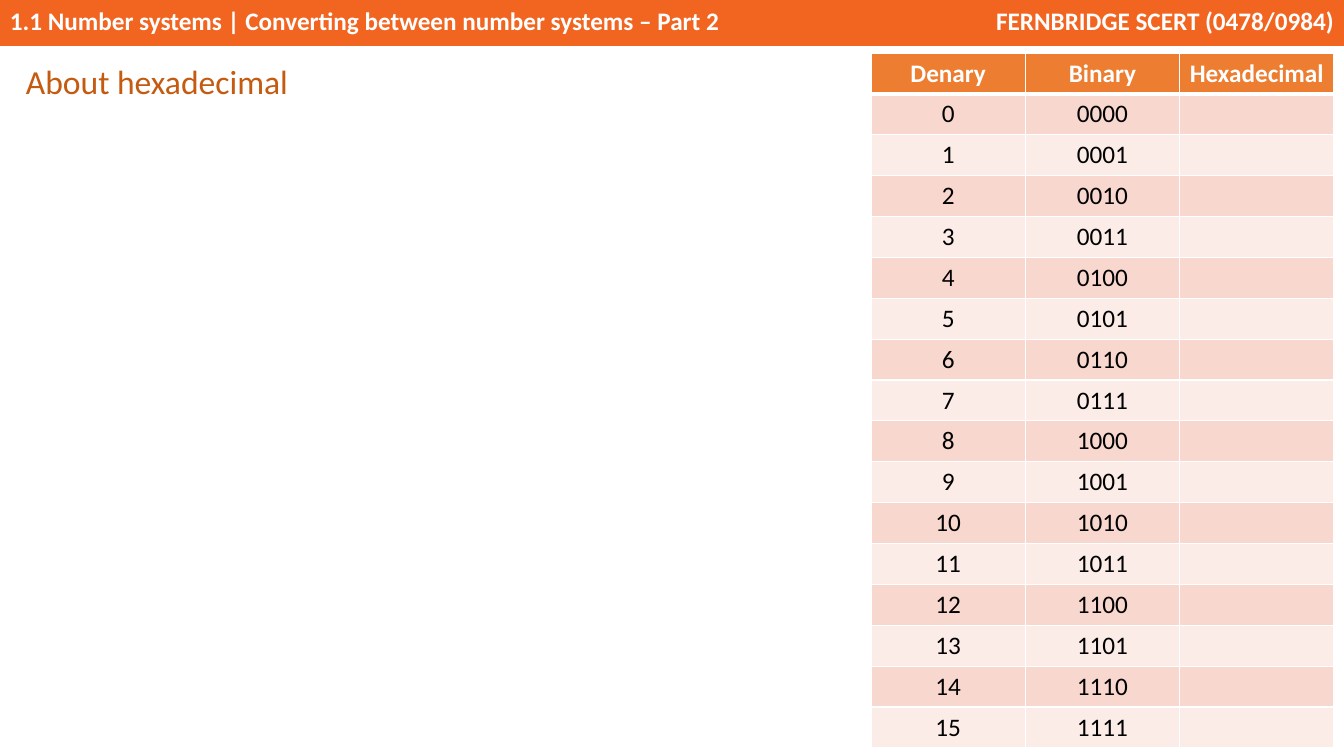
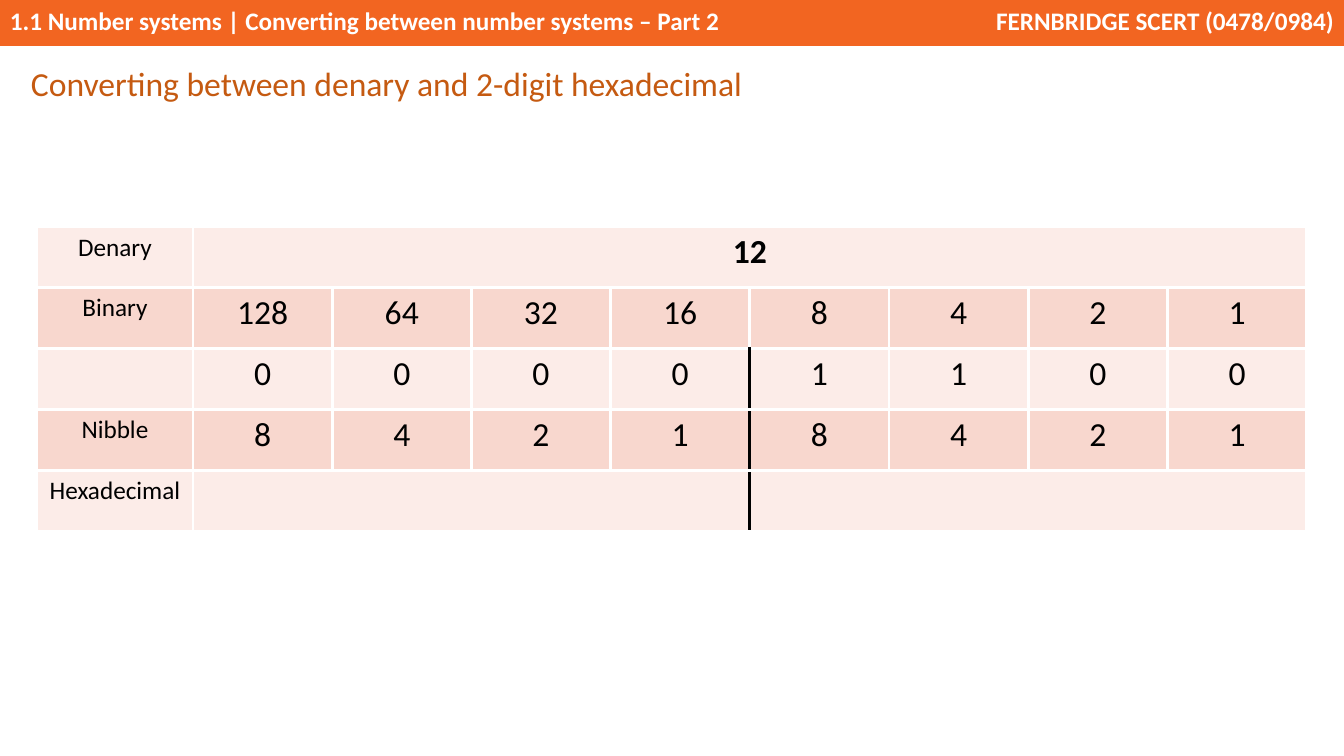
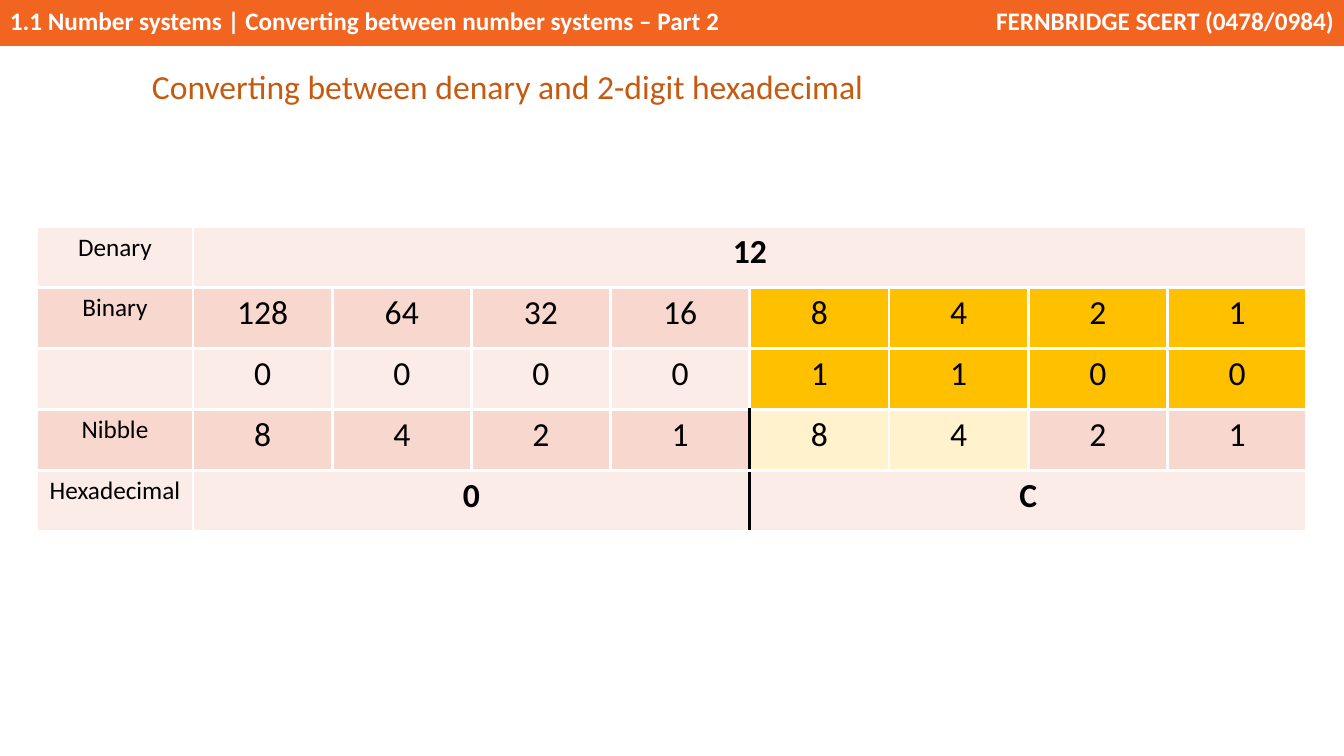
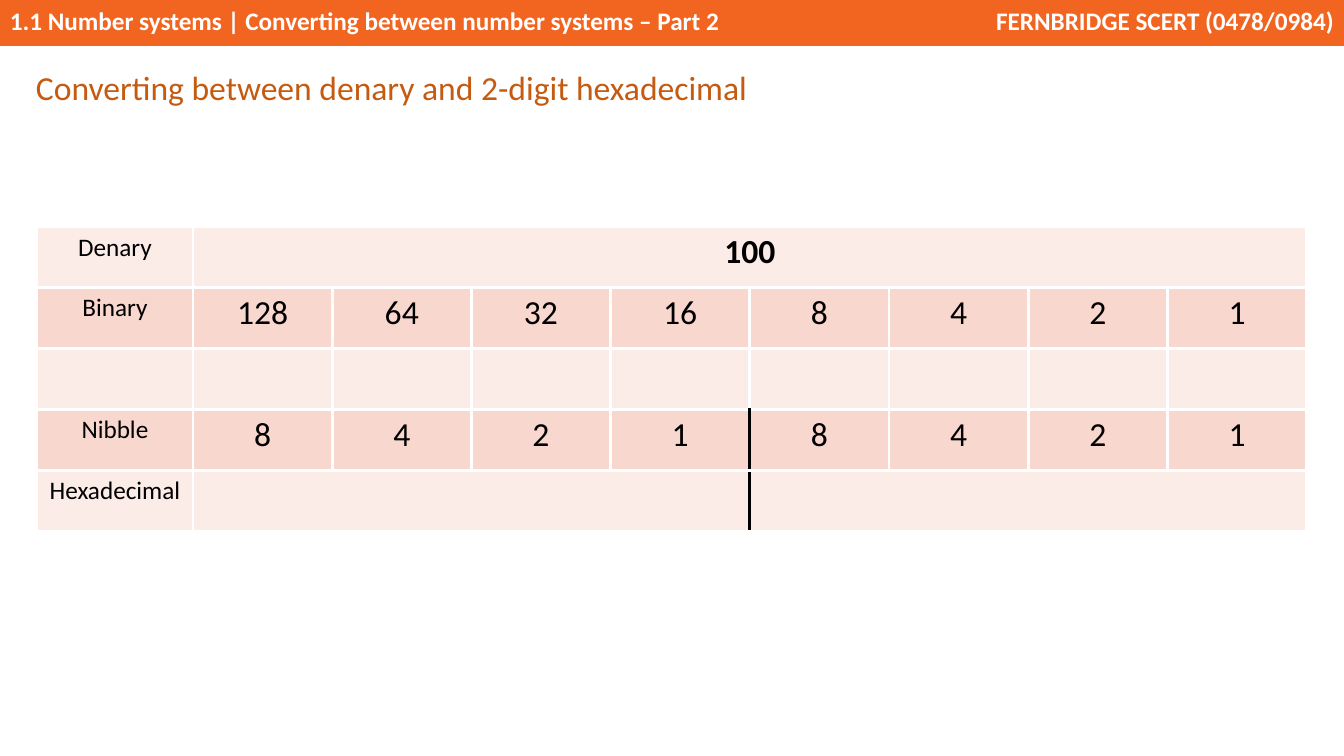
import dataclasses

import lxml.etree
import pptx
import pptx.dml.color
import pptx.enum.shapes
import pptx.enum.text
import pptx.oxml.ns
import pptx.util

ALIGN = pptx.enum.text.PP_ALIGN
ANCHOR = pptx.enum.text.MSO_ANCHOR
SCALE = 914400 / 100.8


@dataclasses.dataclass(frozen=True)
class Theme:
    font: str = "Calibri"
    band: str = "F26521"
    title: str = "C55A11"
    head: str = "ED7D31"
    dark: str = "F8D7CE"
    pale: str = "FCECE8"
    gold: str = "FFC000"
    cream: str = "FFF2CC"
    white: str = "FFFFFF"
    black: str = "000000"
    body: int = 18
    large: int = 24
    thin: float = 1
    mid: float = 2.25
    thick: float = 3


THEME = Theme()


def emu(px):
    return pptx.util.Emu(round(px * SCALE))


def rgb(code):
    return pptx.dml.color.RGBColor.from_string(code)


def write(frame, text, size=THEME.body, color=THEME.black, bold=False,
          align=ALIGN.LEFT, anchor=ANCHOR.TOP, line=None, after=None):
    frame.word_wrap = True
    frame.vertical_anchor = anchor
    para = frame.paragraphs[0]
    para.alignment = align
    if line:
        para.line_spacing = line
    if after:
        para.space_after = pptx.util.Pt(after)
    run = para.add_run()
    run.text = text
    font = run.font
    font.name = THEME.font
    font.size = pptx.util.Pt(size)
    font.bold = bold
    font.color.rgb = rgb(color)


def edge(cell, side, color, width):
    """Draw one border; side is L, R, T or B."""
    props = cell._tc.get_or_add_tcPr()
    qn = pptx.oxml.ns.qn
    line = lxml.etree.SubElement(props, qn("a:ln" + side), w=str(pptx.util.Pt(width)))
    fill = lxml.etree.SubElement(line, qn("a:solidFill"))
    lxml.etree.SubElement(fill, qn("a:srgbClr"), val=color)


def paint(cell, fill, edges):
    """Set the fill and the borders, given as {side: (colour, width)}."""
    for side in "LRTB":
        edge(cell, side, *edges[side])
    cell.fill.solid()
    cell.fill.fore_color.rgb = rgb(fill)
    cell.margin_left = cell.margin_right = emu(6)


def grid(slide, box, rows, widths):
    """Add a plain table of equal rows with the given column widths."""
    table = slide.shapes.add_table(rows, len(widths), *map(emu, box)).table
    table.first_row = table.horz_banding = False
    for col, width in zip(table.columns, widths):
        col.width = emu(width)
    for row in table.rows:
        row.height = emu(box[3] / rows)
    return table


def label(cell, text, **form):
    if text:
        write(cell.text_frame, text, align=ALIGN.CENTER, anchor=ANCHOR.MIDDLE, **form)


def band(slide):
    parts = [
        ((0, 0, 1113, 46), "1.1 Number systems | Converting between number systems – Part 2",
         ALIGN.LEFT),
        ((986, 0, 358, 46), "FERNBRIDGE SCERT (0478/0984)", ALIGN.RIGHT),
    ]
    for box, text, align in parts:
        shape = slide.shapes.add_shape(pptx.enum.shapes.MSO_SHAPE.RECTANGLE, *map(emu, box))
        shape.shadow.inherit = False
        shape.fill.solid()
        shape.fill.fore_color.rgb = rgb(THEME.band)
        shape.line.fill.background()
        write(shape.text_frame, text, color=THEME.white, bold=True, align=align)


def title(slide, box, text):
    frame = slide.shapes.add_textbox(*map(emu, box)).text_frame
    write(frame, text, size=THEME.large, color=THEME.title, line=1.07, after=8)


def codes(slide, box):
    """List 0 to 15 in denary and binary, with room for hexadecimal."""
    rows = [("Denary", "Binary", "Hexadecimal")]
    rows += [(str(n), format(n, "04b"), "") for n in range(16)]
    table = grid(slide, box, len(rows), [box[2] / 3] * 3)
    for r, row in enumerate(rows):
        edges = dict.fromkeys("LRTB", (THEME.white, THEME.thin))
        if r < 2:
            edges["T" if r else "B"] = (THEME.white, THEME.thick)
        fill = (THEME.dark if r % 2 else THEME.pale) if r else THEME.head
        for c, text in enumerate(row):
            cell = table.cell(r, c)
            paint(cell, fill, edges)
            label(cell, text, bold=not r, color=THEME.black if r else THEME.white)


def steps(slide, box, value, bits, answer, split, marks):
    """Convert value; split is the first row with a black line between nibbles."""
    digits = format(value, "08b") if bits else [""] * 8
    high, low = format(value, "02X") if answer else ("", "")
    blank = [""] * 3
    rows = [
        ["Denary", str(value)] + [""] * 7,
        ["Binary"] + [str(128 >> n) for n in range(8)],
        ["", *digits],
        ["Nibble"] + [str(8 >> n % 4) for n in range(8)],
        ["Hexadecimal", high, *blank, low, *blank],
    ]
    first = 156
    table = grid(slide, box, len(rows), [first] + [(box[2] - first) / 8] * 8)
    for r, start, end in [(0, 1, 8), (4, 1, 4), (4, 5, 8)]:
        table.cell(r, start).merge(table.cell(r, end))
    for r, row in enumerate(rows):
        for c, text in enumerate(row):
            cell = table.cell(r, c)
            edges = dict.fromkeys("LRTB", (THEME.white, THEME.mid))
            if r >= split and c == 5:
                edges["L"] = (THEME.black, THEME.mid)
            if r >= split and c + cell.span_width == 5:
                edges["R"] = (THEME.black, THEME.mid)
            paint(cell, marks.get((r, c), THEME.dark if r % 2 else THEME.pale), edges)
            label(cell, text, size=THEME.large if c else THEME.body,
                  bold=c > 0 and r in (0, 4))


def main():
    deck = pptx.Presentation()
    deck.slide_width, deck.slide_height = emu(1344), emu(756)

    def page():
        slide = deck.slides.add_slide(deck.slide_layouts[6])
        band(slide)
        return slide

    slide = page()
    codes(slide, (871, 53, 463, 695))
    title(slide, (16, 53, 484, 51), "About hexadecimal")

    marks = {(r, c): THEME.gold for r in (1, 2) for c in range(5, 9)}
    marks |= {(3, c): THEME.cream for c in (5, 6)}
    tasks = [
        ((21, 55), 12, True, False, 2, {}),
        ((142, 58), 12, True, True, 3, marks),
        ((26, 59), 100, False, False, 3, {}),
    ]
    for spot, *task in tasks:
        slide = page()
        steps(slide, (37, 227, 1270, 304), *task)
        title(slide, (*spot, 748, 51), "Converting between denary and 2-digit hexadecimal")
    deck.save("out.pptx")


if __name__ == "__main__":
    main()
